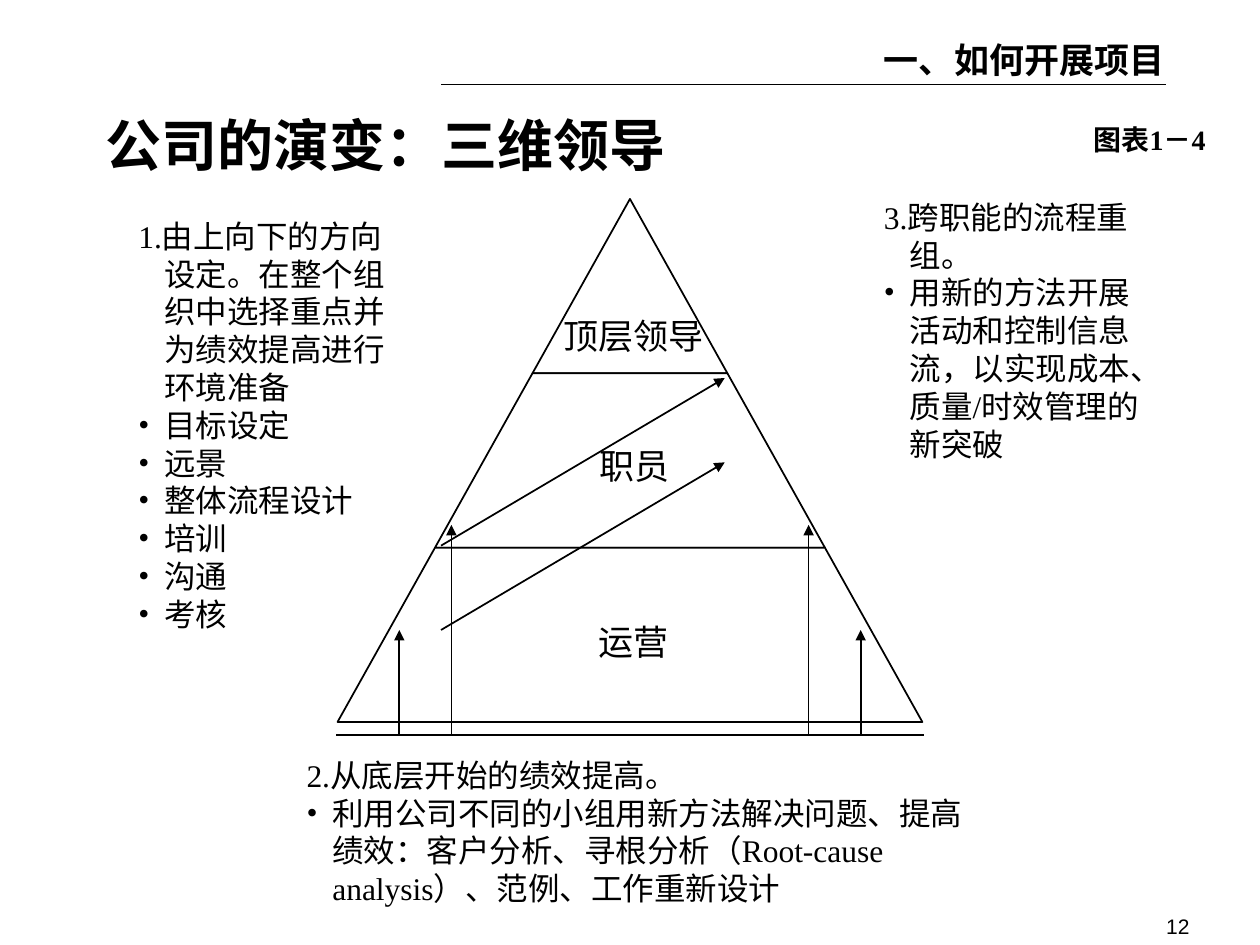
import pptx
import pptx.util
import pptx.dml.color
import pptx.enum.shapes
import pptx.enum.text
import pptx.oxml.ns
from lxml import etree

Cm = pptx.util.Cm
Pt = pptx.util.Pt
ALIGN = pptx.enum.text.PP_ALIGN
ANCHOR = pptx.enum.text.MSO_ANCHOR
COLORS = {"ink": "000000", "paper": "FFFFFF"}
SERIF, SANS = "Times New Roman", "Arial"
APEX = (12.7, 4.01)
TIER, STEP = 3.515, 1.965  # height of a tier, growth of its half width
BASE = 14.82

NOTES = [
    ((5.93, 15.11, 13.92, 3.3), "2.从底层开始的绩效提高。",
     ["利用公司不同的小组用新方法解决问题、提高绩效：客户分析、寻根分析"
      "（Root-cause analysis）、范例、工作重新设计"]),
    ((2.54, 4.24, 5.93, 8.64),
     "1.由上向下的方向设定。在整个组织中选择重点并为绩效提高进行环境准备",
     ["目标设定", "远景", "整体流程设计", "培训", "沟通", "考核"]),
    ((17.57, 3.86, 5.93, 5.59), "3.跨职能的流程重组。",
     ["用新的方法开展活动和控制信息流，以实现成本、质量/时效管理的新突破"]),
]


def color(name):
    return pptx.dml.color.RGBColor.from_string(COLORS[name])


def add(parent, tag, **attrs):
    return etree.SubElement(parent, pptx.oxml.ns.qn(tag), **attrs)


def text(slide, box, lines, size=18, font=SERIF, bold=False, align=ALIGN.LEFT,
         anchor=ANCHOR.TOP, inset=(0, 0), wrap=True, space=None, listed=False):
    """Place a text box; if listed, bullet every line after the first."""
    frame = slide.shapes.add_textbox(*map(Cm, box)).text_frame
    frame.word_wrap = wrap
    frame.vertical_anchor = anchor
    frame.margin_left = frame.margin_right = Cm(inset[0])
    frame.margin_top = frame.margin_bottom = Cm(inset[1])
    for i, line in enumerate(lines):
        para = frame.paragraphs[0] if i == 0 else frame.add_paragraph()
        para.alignment = align
        if space:
            para.line_spacing = space
        if listed:
            props = para._p.get_or_add_pPr()
            props.set("marL", str(Cm(0.52)))
            props.set("indent", str(-Cm(0.52)))
            if i:
                add(props, "a:buFont", typeface=SERIF)
                add(props, "a:buChar", char="•")
        run = para.add_run()
        run.text = line
        run.font.size = Pt(size)
        run.font.name = font
        run.font.bold = bold
        run.font.color.rgb = color("ink")


def line(slide, start, end, width=1, arrow=False):
    link = slide.shapes.add_connector(
        pptx.enum.shapes.MSO_CONNECTOR.STRAIGHT, *map(Cm, start + end))
    link.line.width = Pt(width)
    link.line.color.rgb = color("ink")
    if arrow:
        add(link.line._get_or_add_ln(), "a:tailEnd", type="triangle")
    add(link._element.spPr, "a:effectLst")


def tier(slide, rank):
    """Draw one band of the pyramid, rank 0 being the tip."""
    mid, top = APEX[0], APEX[1] + rank * TIER
    near, far, low = rank * STEP, (rank + 1) * STEP, top + TIER
    points = [(mid + near, top), (mid + far, low), (mid - far, low)]
    if rank:
        points.append((mid - near, top))
    points = [(Cm(x), Cm(y)) for x, y in points]
    form = slide.shapes.build_freeform(*points[0])
    form.add_line_segments(points[1:], close=True)
    band = form.convert_to_shape()
    band.shadow.inherit = False
    band.fill.solid()
    band.fill.fore_color.rgb = color("paper")
    band.line.color.rgb = color("ink")
    band.line.width = Pt(1)


def main():
    deck = pptx.Presentation()
    deck.slide_width, deck.slide_height = Cm(25.4), Cm(19.05)
    slide = deck.slides.add_slide(deck.slide_layouts[6])
    pad = (0.25, 0.13)

    line(slide, (8.89, 1.7), (23.5, 1.7), width=0.75)
    text(slide, (17.57, 0.64, 10.16, 1.12), ["一、如何开展项目"],
         size=20, bold=True, inset=pad)
    text(slide, (2.13, 2.39, 21.44, 1.22), ["公司的演变：三维领导"],
         size=32, font=SANS, bold=True, space=0.9)

    for rank in range(3):
        tier(slide, rank)
    text(slide, (11.13, 6.35, 3.28, 0.84), ["顶层领导"], size=20, align=ALIGN.CENTER)
    text(slide, (11.63, 8.97, 2.34, 0.84), ["职员"], size=20, align=ALIGN.CENTER)
    text(slide, (12.06, 12.5, 1.42, 0.84), ["运营"], size=20, font=SANS, wrap=False)

    for y in (11, 12.7):
        line(slide, (8.89, y), (14.61, y - 3.38), arrow=True)
    line(slide, (6.78, BASE), (18.63, BASE))
    for x, y in ((8.05, 12.7), (9.1, 10.58), (16.3, 10.58), (17.35, 12.7)):
        line(slide, (x, BASE), (x, y), arrow=True)

    for box, head, items in NOTES:
        text(slide, box, [head] + items, anchor=ANCHOR.MIDDLE, inset=pad, listed=True)
    text(slide, (21.8, 2.34, 3.6, 0.94), ["图表1－4"], size=16, bold=True, inset=pad)
    text(slide, (18.72, 18.42, 5.26, 0.5), ["12"], size=12, font=SANS, align=ALIGN.RIGHT)

    deck.save("out.pptx")


if __name__ == "__main__":
    main()
